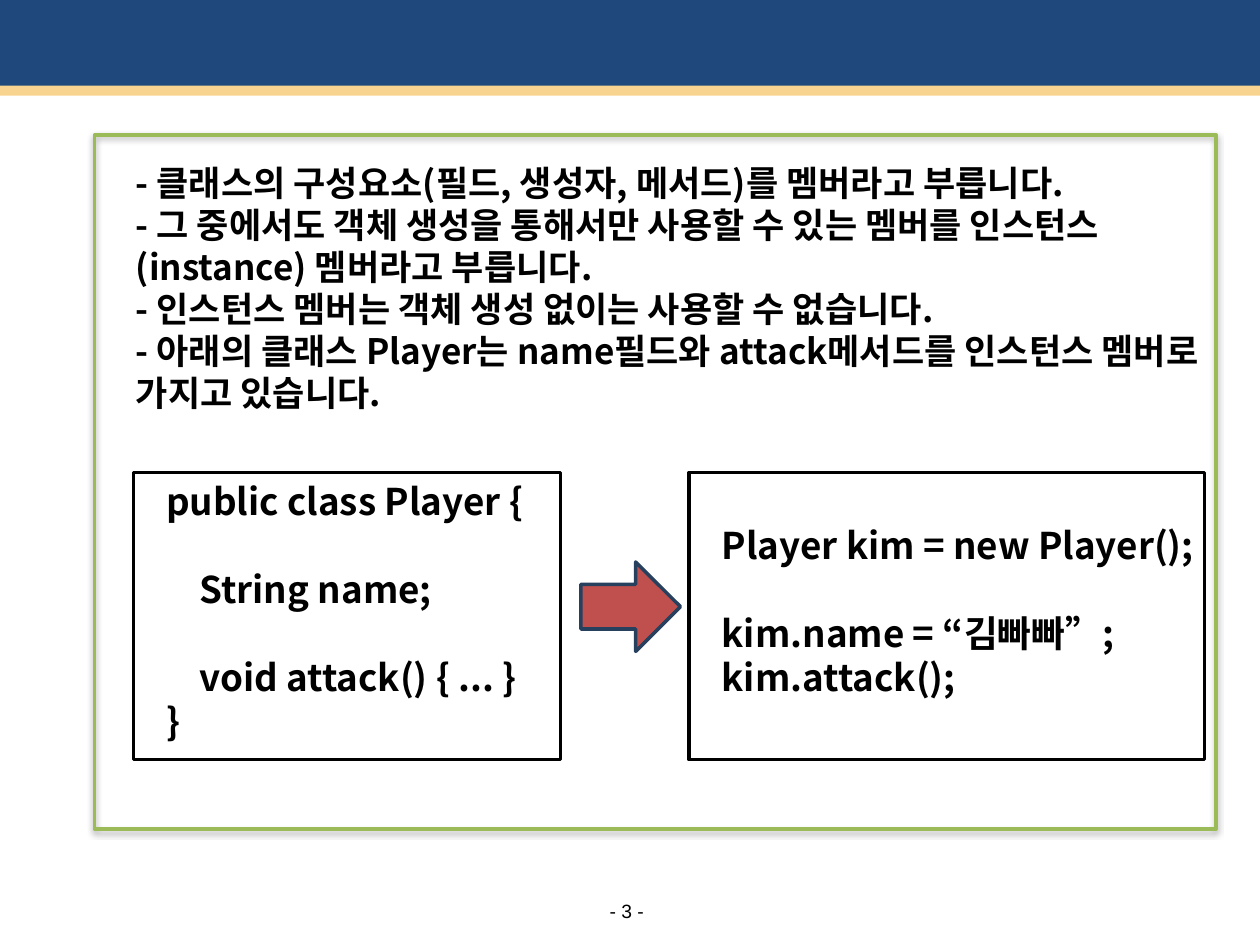
from lxml import etree
from pptx import Presentation
from pptx.dml.color import RGBColor
from pptx.enum.shapes import MSO_SHAPE
from pptx.enum.text import MSO_ANCHOR, PP_ALIGN
from pptx.oxml import parse_xml
from pptx.oxml.ns import nsdecls, qn
from pptx.util import Inches, Pt

NAVY = RGBColor(0x1F, 0x49, 0x7D)
SAND = RGBColor(0xF9, 0xD4, 0x90)
GREEN = RGBColor(0x9B, 0xBB, 0x59)
RED = RGBColor(0xC0, 0x50, 0x4D)
DARK_BLUE = RGBColor(0x27, 0x40, 0x5E)
BLACK = RGBColor(0, 0, 0)
KOREAN_FONT = "Noto Sans CJK KR"

prs = Presentation()
prs.slide_width, prs.slide_height = Inches(10), Inches(7.5)
slide = prs.slides.add_slide(prs.slide_layouts[6])


def add_box(preset, left, top, width, height, fill=None, line=None):
    box = slide.shapes.add_shape(
        preset, Inches(left), Inches(top), Inches(width), Inches(height))
    box.shadow.inherit = False
    if fill is None:
        box.fill.background()
    else:
        box.fill.solid()
        box.fill.fore_color.rgb = fill
    if line is None:
        box.line.fill.background()
    else:
        box.line.color.rgb = line
        box.line.width = Pt(2)
    return box


def add_lines(left, top, width, height, lines, size, wrap=True):
    """Add bold text; each line is (text, number of line heights left free above it)."""
    frame = slide.shapes.add_textbox(
        Inches(left), Inches(top), Inches(width), Inches(height)).text_frame
    frame.word_wrap = wrap
    frame.text = "\n".join(text for text, _ in lines)
    pitch = 1.2 * size
    for paragraph, (_, gap) in zip(frame.paragraphs, lines):
        paragraph.line_spacing = Pt(pitch)
        if gap:
            paragraph.space_before = Pt(gap * pitch)
        for run in paragraph.runs:
            run.font.size = Pt(size)
            run.font.bold = True
            run.font.name = KOREAN_FONT
            run.font.color.rgb = BLACK
            east_asian = etree.SubElement(run.font._element, qn("a:ea"))
            east_asian.set("typeface", KOREAN_FONT)


# Header and page number
add_box(MSO_SHAPE.RECTANGLE, 0, 0, 10, 0.73, fill=NAVY)
add_box(MSO_SHAPE.RECTANGLE, 0, 0.68, 10, 0.08, fill=SAND)

page_number = slide.shapes.add_textbox(
    Inches(4.76), Inches(7.13), Inches(0.43), Inches(0.19)).text_frame
page_number.margin_left = page_number.margin_right = 0
page_number.margin_top = page_number.margin_bottom = 0
page_number.vertical_anchor = MSO_ANCHOR.MIDDLE
page_number.word_wrap = False
page_number.text = "- 3 -"
page_number.paragraphs[0].alignment = PP_ALIGN.CENTER
page_font = page_number.paragraphs[0].runs[0].font
page_font.size, page_font.name = Pt(11), "Arial"
page_font.color.rgb = BLACK

# Content frame with a soft shadow below
content_frame = add_box(
    MSO_SHAPE.FLOWCHART_PROCESS, 0.75, 1.07, 8.9, 5.51, line=GREEN)
content_frame._element.spPr.find(qn("a:effectLst")).append(parse_xml(
    f'<a:outerShdw {nsdecls("a")} blurRad="{Pt(3.1)}" dist="{Pt(1.8)}" '
    'dir="5400000" rotWithShape="0"><a:srgbClr val="000000">'
    '<a:alpha val="35000"/></a:srgbClr></a:outerShdw>'))

explanations = [
    "- 클래스의 구성요소(필드, 생성자, 메서드)를 멤버라고 부릅니다.",
    "- 그 중에서도 객체 생성을 통해서만 사용할 수 있는 멤버를 인스턴스(instance) 멤버라고 부릅니다.",
    "- 인스턴스 멤버는 객체 생성 없이는 사용할 수 없습니다.",
    "- 아래의 클래스 Player는 name필드와 attack메서드를 인스턴스 멤버로 가지고 있습니다.",
]
add_lines(0.98, 1.23, 8.66, 2.09, [(text, 0) for text in explanations], 20)

# Class definition, arrow, and its use
class_code = [
    ("public class Player {", 0),
    ("    String name;", 1),
    ("    void attack() { ... }", 1),
    ("}", 0),
]
usage_code = [
    ("Player kim = new Player();", 0),
    ("kim.name = “김빠빠”;", 1),
    ("kim.attack();", 0),
]
add_box(MSO_SHAPE.RECTANGLE, 1.06, 3.75, 3.39, 2.28, line=BLACK)
add_lines(1.22, 3.75, 3.07, 2.2, class_code, 21, wrap=False)
add_box(MSO_SHAPE.RECTANGLE, 5.47, 3.75, 4.09, 2.28, line=BLACK)
add_lines(5.63, 4.1, 4.02, 1.49, usage_code, 21, wrap=False)
add_box(MSO_SHAPE.RIGHT_ARROW, 4.61, 4.46, 0.79, 0.71, fill=RED, line=DARK_BLUE)

prs.save("out.pptx")
